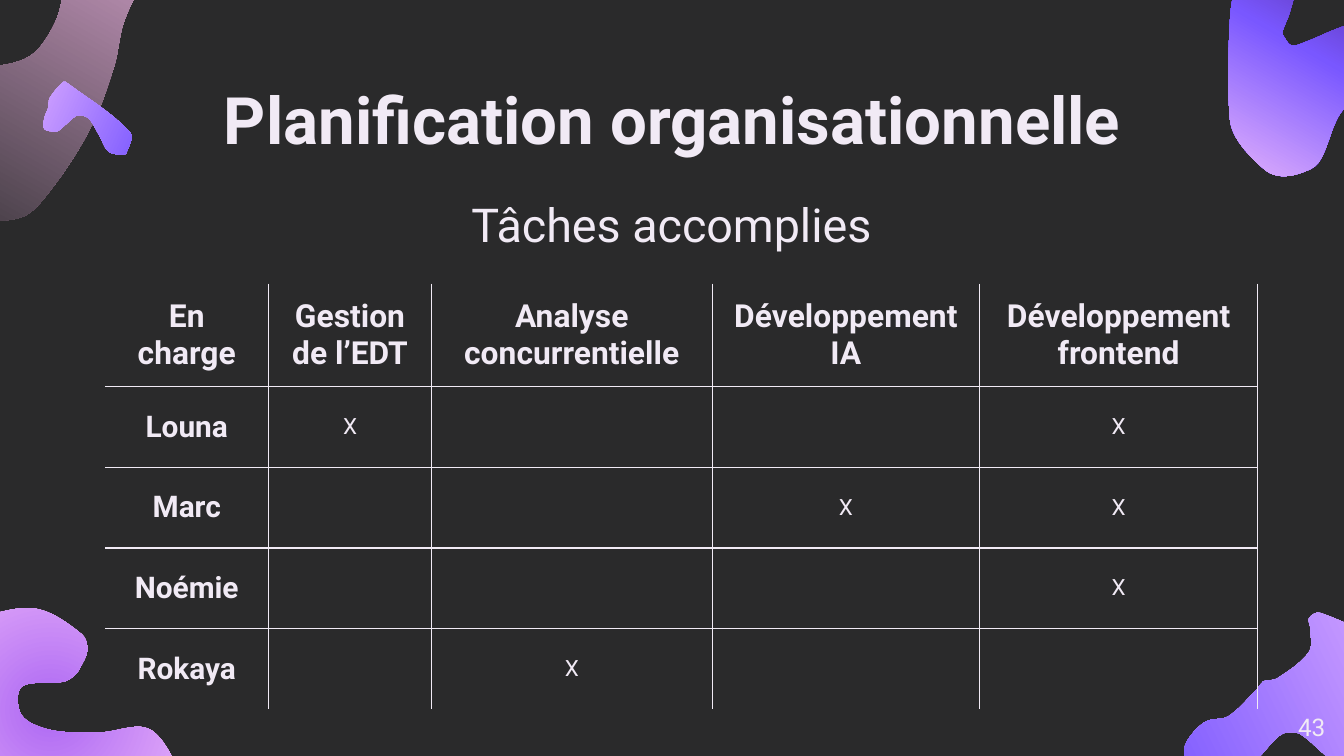
import math

from lxml import etree
from pptx import Presentation
from pptx.dml.color import RGBColor
from pptx.enum.text import MSO_ANCHOR, PP_ALIGN
from pptx.oxml import parse_xml
from pptx.oxml.ns import nsdecls, qn
from pptx.util import Inches, Pt

CENTER, RIGHT = PP_ALIGN.CENTER, PP_ALIGN.RIGHT
TOP, MIDDLE = MSO_ANCHOR.TOP, MSO_ANCHOR.MIDDLE

FONT = "Roboto"
BACKGROUND = RGBColor(0x2A, 0x2A, 0x2B)
LIGHT = RGBColor(0xF1, 0xEA, 0xF5)
ROSE = RGBColor(0xE7, 0xAF, 0xDD)
PINK = RGBColor(0xF6, 0xC2, 0xFB)
LILAC = RGBColor(0xDC, 0xAC, 0xFF)
ORCHID = RGBColor(0xAD, 0x68, 0xF3)
VIOLET = RGBColor(0x79, 0x57, 0xFF)
PLUM = RGBColor(0x3E, 0x11, 0x57)

MARGIN = Inches(0.1)
COLUMN_WIDTHS = (1.22, 1.21, 2.09, 1.99, 2.07)
ROW_HEIGHT = 0.6
TASKS = ("En charge", "Gestion de l’EDT", "Analyse concurrentielle",
         "Développement IA", "Développement frontend")
# Person and the table columns of the tasks they completed
PEOPLE = (("Louna", (1, 4)), ("Marc", (3, 4)), ("Noémie", (4,)), ("Rokaya", (2,)))

# Points in inches that each smooth blob outline passes through
TOP_LEFT_BLOB = (
    (0.98, -0.62), (0.71, -0.63), (0.55, -0.38), (0.49, -0.14), (0.41, 0.17), (0.22, 0.42),
    (-0.11, 0.5), (-0.46, 0.49), (-0.66, 0.58), (-0.68, 0.83), (-0.6, 0.89), (-0.37, 0.99),
    (-0.29, 1.06), (-0.34, 1.33), (-0.44, 1.42), (-0.42, 1.49), (-0.28, 1.61), (0.15, 1.62),
    (0.38, 1.41), (0.68, 0.94), (0.85, 0.49), (0.92, 0.17), (1.05, -0.1), (1.22, -0.31),
    (1.16, -0.44))
BOTTOM_RIGHT_BLOB = (
    (10.26, 5.69), (10.22, 5.47), (10.17, 5.1), (10.38, 4.84), (10.39, 4.82), (9.82, 4.56),
    (9.74, 4.6), (9.75, 4.68), (9.74, 4.85), (9.5, 5.05), (9.4, 5.07), (9.36, 5.12),
    (9.14, 5.33), (8.97, 5.37), (8.83, 5.52), (8.82, 5.64), (9.06, 5.83), (9.3, 5.7),
    (9.5, 5.49), (9.57, 5.45), (9.67, 5.46), (9.85, 5.61), (10.03, 5.76), (10.24, 5.71))
BOTTOM_LEFT_BLOB = (
    (-0.44, 4.75), (-0.59, 5.05), (-0.45, 5.22), (-0.15, 5.51), (0.19, 5.72), (1.07, 5.84),
    (1.26, 5.75), (1.3, 5.67), (1.1, 5.42), (0.74, 5.45), (0.37, 5.43), (0.16, 5.32),
    (0.16, 5.11), (0.48, 5.07), (0.56, 5.02), (0.59, 4.98), (0.65, 4.84), (0.61, 4.72),
    (0.27, 4.53), (-0.13, 4.59), (-0.4, 4.71))
TOP_RIGHT_BLOB = (
    (10.55, 0.34), (10.54, 0.31), (10.31, 0.15), (10.02, 0.19), (9.72, 0.31), (9.61, 0.34),
    (9.55, 0.27), (9.54, 0.24), (9.59, 0.11), (9.66, -0.15), (9.65, -0.19), (9.5, -0.34),
    (9.37, -0.31), (9.2, -0.1), (9.15, 0.17), (9.15, 0.88), (9.22, 1.06), (9.42, 1.27),
    (9.53, 1.31), (9.67, 1.29), (9.81, 1.21), (9.99, 0.82), (10.19, 0.75), (10.47, 0.61))
SMALL_BLOB = (
    (0.47, 0.61), (0.37, 0.73), (0.36, 0.8), (0.33, 0.88), (0.33, 0.96), (0.42, 0.98),
    (0.44, 0.97), (0.52, 0.9), (0.57, 0.86), (0.62, 0.86), (0.67, 0.89), (0.74, 1.01),
    (0.81, 1.13), (0.92, 1.15), (0.94, 1.14), (0.97, 0.99), (0.49, 0.61))


def rotate(point, degrees):
    x, y = point
    cosine, sine = math.cos(math.radians(degrees)), math.sin(math.radians(degrees))
    return x * cosine - y * sine, x * sine + y * cosine


def smooth_curves(points):
    """Return the start point and three Bézier points for each side of the outline."""
    result = [points[0]]
    following = points[1:] + points[:1]
    slopes = []
    for before, here, after in zip(points[-1:] + points[:-1], points, following):
        length = math.dist(before, here) + math.dist(here, after)
        slopes.append([(b - a) / length for a, b in zip(before, after)])
    for start, end, leaving, arriving in zip(points, following, slopes,
                                             slopes[1:] + slopes[:1]):
        reach = math.dist(start, end) / 3
        result.append(tuple(a + reach * s for a, s in zip(start, leaving)))
        result.append(tuple(a - reach * s for a, s in zip(end, arriving)))
        result.append(end)
    return result


def add_blob(slide, outline, rotation, colors, angle=None):
    """Draw a smooth outline with a linear gradient, or a radial one without angle."""
    upright = smooth_curves([rotate(point, -rotation) for point in outline])
    points = [(Inches(x), Inches(y)) for x, y in upright]
    builder = slide.shapes.build_freeform(*points[0], scale=1.0)
    builder.add_line_segments(points[1:], close=True)
    shape = builder.convert_to_shape()
    shape.shadow.inherit = False
    shape.line.fill.background()

    # Turn the shape and move its centre to the final place
    x, y = rotate((shape.left + shape.width / 2, shape.top + shape.height / 2), rotation)
    shape.left, shape.top = round(x - shape.width / 2), round(y - shape.height / 2)
    shape.rotation = rotation

    # Every three line segments become one Bézier curve
    geometry = shape._element.spPr.find(qn("a:custGeom"))
    segments = list(geometry.iter(qn("a:lnTo")))
    for index in range(0, len(segments) - 2, 3):
        curve = etree.Element(qn("a:cubicBezTo"))
        segments[index].addprevious(curve)
        for segment in segments[index:index + 3]:
            curve.append(segment[0])
            segment.getparent().remove(segment)

    step = 100000 // (len(colors) - 1)
    stops = "".join(f'<a:gs pos="{index * step}"><a:srgbClr val="{color}"/></a:gs>'
                    for index, color in enumerate(colors))
    direction = ('<a:path path="circle"><a:fillToRect l="50000" t="50000" r="50000" '
                 'b="50000"/></a:path>' if angle is None
                 else f'<a:lin ang="{angle * 60000}" scaled="0"/>')
    geometry.addnext(parse_xml(f'<a:gradFill {nsdecls("a")} rotWithShape="1">'
                               f'<a:gsLst>{stops}</a:gsLst>{direction}</a:gradFill>'))


def write_text(paragraph, text, size, bold=False, alignment=CENTER):
    paragraph.alignment = alignment
    run = paragraph.add_run()
    run.text = text
    run.font.name, run.font.size, run.font.bold = FONT, Pt(size), bold
    run.font.color.rgb = LIGHT


def add_label(slide, box, text, size, bold=False, alignment=CENTER, anchor=TOP):
    frame = slide.shapes.add_textbox(*map(Inches, box)).text_frame
    frame.word_wrap = True
    frame.vertical_anchor = anchor
    frame.margin_left = frame.margin_right = frame.margin_top = frame.margin_bottom = MARGIN
    write_text(frame.paragraphs[0], text, size, bold, alignment)


def format_cell(cell, visible_sides):
    cell.vertical_anchor = MIDDLE
    cell.margin_left = cell.margin_right = cell.margin_top = cell.margin_bottom = MARGIN
    for side in "LRTB":
        fill = (f'<a:solidFill><a:srgbClr val="{LIGHT}"/></a:solidFill>'
                if side in visible_sides else "<a:noFill/>")
        cell._tc.get_or_add_tcPr().append(parse_xml(
            f'<a:ln{side} {nsdecls("a")} w="{Pt(0.75)}">{fill}</a:ln{side}>'))
    cell.fill.background()


def add_task_table(slide):
    rows = [(TASKS[0], 17, TASKS[1:])]
    rows += [(person, 16, ["X" if column in done else "" for column in range(1, len(TASKS))])
             for person, done in PEOPLE]
    table = slide.shapes.add_table(
        len(rows), len(TASKS), Inches(0.78), Inches(2.11),
        Inches(sum(COLUMN_WIDTHS)), Inches(ROW_HEIGHT * len(rows))).table
    table.first_row = table.horz_banding = False
    for column, width in zip(table.columns, COLUMN_WIDTHS):
        column.width = Inches(width)
    for row_index, (heading, size, texts) in enumerate(rows):
        for column_index, text in enumerate([heading, *texts]):
            # The left, top and bottom edges of the table stay open
            sides = "R" + ("L" if column_index else "") + ("T" if row_index else "")
            sides += "B" if row_index < len(PEOPLE) else ""
            cell = table.cell(row_index, column_index)
            format_cell(cell, sides)
            if text:
                is_mark = text == "X"
                write_text(cell.text_frame.paragraphs[0], text,
                           12 if is_mark else size, not is_mark)


def main():
    presentation = Presentation()
    presentation.slide_width = Inches(10)
    presentation.slide_height = presentation.slide_width * 9 // 16
    slide = presentation.slides.add_slide(presentation.slide_layouts[6])
    slide.background.fill.solid()
    slide.background.fill.fore_color.rgb = BACKGROUND

    # Blobs behind the content
    add_blob(slide, TOP_LEFT_BLOB, 29.7, (ROSE, BACKGROUND), 90)
    add_blob(slide, BOTTOM_RIGHT_BLOB, 109, (LILAC, VIOLET), 45)
    # Headings and table
    add_label(slide, (0.79, 0.49, 8.43, 0.63), "Planification organisationnelle", 35, True)
    add_task_table(slide)
    add_label(slide, (2.57, 1.36, 4.85, 0.5), "Tâches accomplies", 25)
    # Blobs in front and page number
    add_blob(slide, BOTTOM_LEFT_BLOB, 315, (ORCHID, PINK))
    add_blob(slide, TOP_RIGHT_BLOB, 75, (PLUM, VIOLET, PINK), 45)
    add_blob(slide, SMALL_BLOB, 339.2, (LILAC, VIOLET), 45)
    add_label(slide, (9.36, 5.19, 0.6, 0.43), "43", 13, alignment=RIGHT, anchor=MIDDLE)
    presentation.save("out.pptx")


if __name__ == "__main__":
    main()
